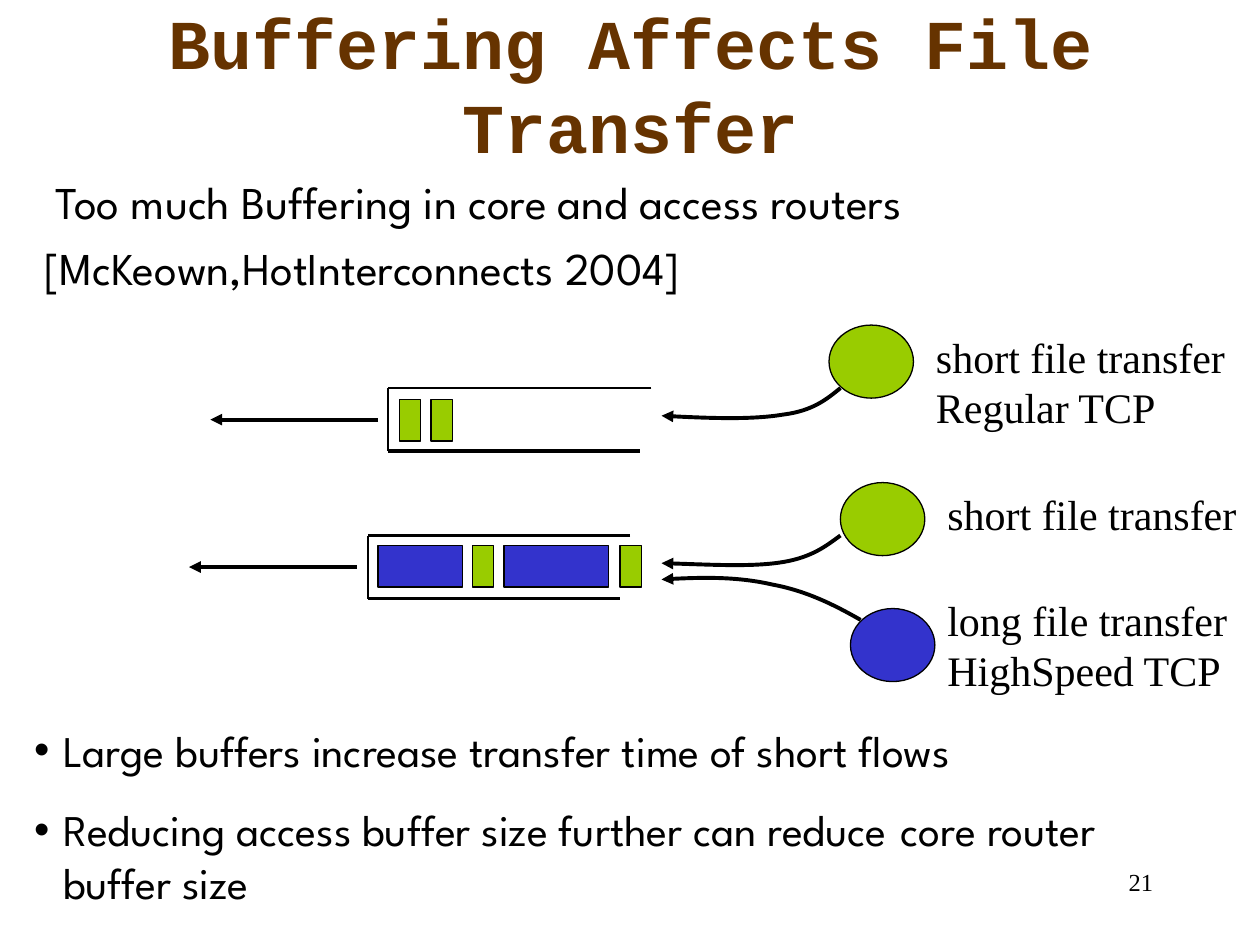
from pptx import Presentation, util as u
from pptx.dml import color
from pptx.enum import shapes, text
from pptx.oxml import ns, xmlchemy as xc

COLS, ROWS = 120, 90
BLACK, BROWN, GREEN, BLUE = "000000", "663300", "99CC00", "3333CC"
SERIF, SANS = "Times New Roman", "League Spartan"
SHORT = [(-1.3, 1), (-2.6, 2.1), (-5.4, 2.5), (-8.3, 3), (-12.6, 2.8), (-17, 2.6)]
LONG = [(-2.6, -1.4), (-5.2, -2.7), (-8.4, -3.3), (-11.6, -4), (-15.3, -4), (-19, -3.8)]


def grid(*cells):
    """Turn grid cells of a twelfth of an inch into lengths."""
    return [u.Inches(round(c / 12, 2)) for c in cells]


def rgb(code):
    """Return the colour of a hex string."""
    return color.RGBColor.from_string(code)


def apply(obj, vals):
    """Set each named value on an object."""
    for name, val in vals.items():
        setattr(obj, name, val)


def sub(node, tag, **vals):
    """Append a drawing element with its attributes."""
    kid = xc.OxmlElement(tag)
    for name, val in vals.items():
        kid.set(name, str(val))
    node.append(kid)
    return kid


def ink(line, width, head=False):
    """Draw a black line, with an arrowhead on request."""
    line.color.rgb = rgb(BLACK)
    line.width = u.Pt(width)
    if head:
        sub(line._get_or_add_ln(), "a:tailEnd", type="triangle")


def node(slide, kind, box, fill):
    """Add a filled preset shape with a thin outline."""
    shape = slide.shapes.add_shape(kind, *grid(*box))
    shape.shadow.inherit = False
    shape.fill.solid()
    shape.fill.fore_color.rgb = rgb(fill)
    ink(shape.line, 0.75)


def edge(slide, start, end, width, head=False):
    """Add a straight line between two grid points."""
    kind = shapes.MSO_CONNECTOR.STRAIGHT
    line = slide.shapes.add_connector(kind, *grid(*start, *end))
    ink(line.line, width, head)
    sub(line._element.spPr, "a:effectLst")


def curve(slide, x, y, steps):
    """Add a curved arrow of cubic pieces from a grid point."""
    pen = slide.shapes.build_freeform(*grid(x, y))
    pen.add_line_segments([grid(x + a, y + b) for a, b in steps], close=False)
    shape = pen.convert_to_shape()
    shape.shadow.inherit = False
    shape.fill.background()
    ink(shape.line, 2.25, True)
    legs = list(shape._element.iter(ns.qn("a:lnTo")))
    track = legs[0].getparent()
    for i in range(0, len(legs), 3):
        arc = sub(track, "a:cubicBezTo")
        for leg in legs[i:i + 3]:
            arc.append(leg[0])
            track.remove(leg)


def queue(slide, x, y, packs):
    """Add an open buffer, its packets and the arrow that leaves it."""
    edge(slide, (x + 25, y), (x, y), 1.5)
    edge(slide, (x, y), (x, y + 6), 1.5)
    edge(slide, (x, y + 6), (x + 24, y + 6), 2.25)
    edge(slide, (x - 1, y + 3), (x - 17, y + 3), 2.25, True)
    for left, wide, fill in packs:
        node(slide, shapes.MSO_SHAPE.RECTANGLE, (x + left, y + 1, wide, 4), fill)


def write(shape, lines, font, size, fill=BLACK, bold=False, align="LEFT",
          gap=0, margin=None, bullet=False, tab=None):
    """Fill a shape with formatted paragraphs."""
    frame = shape.text_frame
    for i, line in enumerate(lines):
        para = frame.add_paragraph() if i else frame.paragraphs[0]
        para.text = line
        props = para._p.get_or_add_pPr()
        left = margin[i] if margin else 0
        props.set("marL", str(u.Inches(left)))
        props.set("indent", str(-u.Inches(left) if bullet else 0))
        if bullet:
            sub(props, "a:buChar", char="•")
        else:
            sub(props, "a:buNone")
        if tab:
            stops = sub(props, "a:tabLst")
            sub(stops, "a:tab", pos=u.Inches(tab), algn="l")
        apply(para, {"alignment": getattr(text.PP_ALIGN, align),
                     "space_before": u.Pt(gap if i else 0)})
        for run in para.runs:
            apply(run.font, {"name": font, "size": u.Pt(size), "bold": bold})
            run.font.color.rgb = rgb(fill)


def place(shape, box, **form):
    """Move a placeholder and set its frame."""
    apply(shape, dict(zip(("left", "top", "width", "height"), grid(*box))))
    apply(shape.text_frame, {"auto_size": text.MSO_AUTO_SIZE.NONE,
                             "word_wrap": True})
    write(shape, **form)


def label(slide, box, lines, size=24, align="LEFT"):
    """Add a text box that keeps its lines unbroken."""
    shape = slide.shapes.add_textbox(*grid(*box))
    shape.text_frame.word_wrap = align != "LEFT"
    write(shape, lines, SERIF, size, align=align)


def main():
    """Build and save the slide."""
    deck = Presentation()
    apply(deck, {"slide_width": u.Inches(10), "slide_height": u.Inches(7.5)})
    slide = deck.slides.add_slide(deck.slide_layouts[3])
    title, intro, points = slide.placeholders
    place(title, (0, 1, COLS, 14), lines=["Buffering Affects File Transfer"],
          font="Courier New", size=40, fill=BROWN, bold=True, align="CENTER")
    place(intro, (3, 16, 108, 19), font=SANS, size=26, gap=6.5, margin=(0.09, 0),
          lines=["Too much Buffering in core and access routers",
                 "[McKeown,HotInterconnects 2004]"])
    place(points, (2, 68.3, 110, 18.8), font=SANS, size=25, gap=15.6,
          margin=(0.23, 0.23), bullet=True, tab=6.88,
          lines=["Large buffers increase transfer time of short flows",
                 "Reducing access buffer size further can reduce\tcore router buffer size"])
    queue(slide, 37, 37, [(1, 2, GREEN), (4, 2, GREEN)])
    queue(slide, 35, 51, [(1, 8, BLUE), (10, 2, GREEN), (13, 10, BLUE), (24, 2, GREEN)])
    for x, y, fill in ((79, 31, GREEN), (80, 46, GREEN), (81, 58, BLUE)):
        node(slide, shapes.MSO_SHAPE.OVAL, (x, y, 8, 7), fill)
    for x, y, steps in ((80, 37, SHORT), (80, 51, SHORT), (82, 59, LONG)):
        curve(slide, x, y, steps)
    label(slide, (88, 31, 30, 10.8), ["short file transfer", "Regular TCP"])
    label(slide, (89, 46, 30, 6), ["short file transfer"])
    label(slide, (89, 56, 29, 10.8), ["long file transfer", "HighSpeed TCP"])
    label(slide, (86, ROWS - 8, 25, 6), ["21"], 14, "RIGHT")
    deck.save("out.pptx")


if __name__ == "__main__":
    main()
